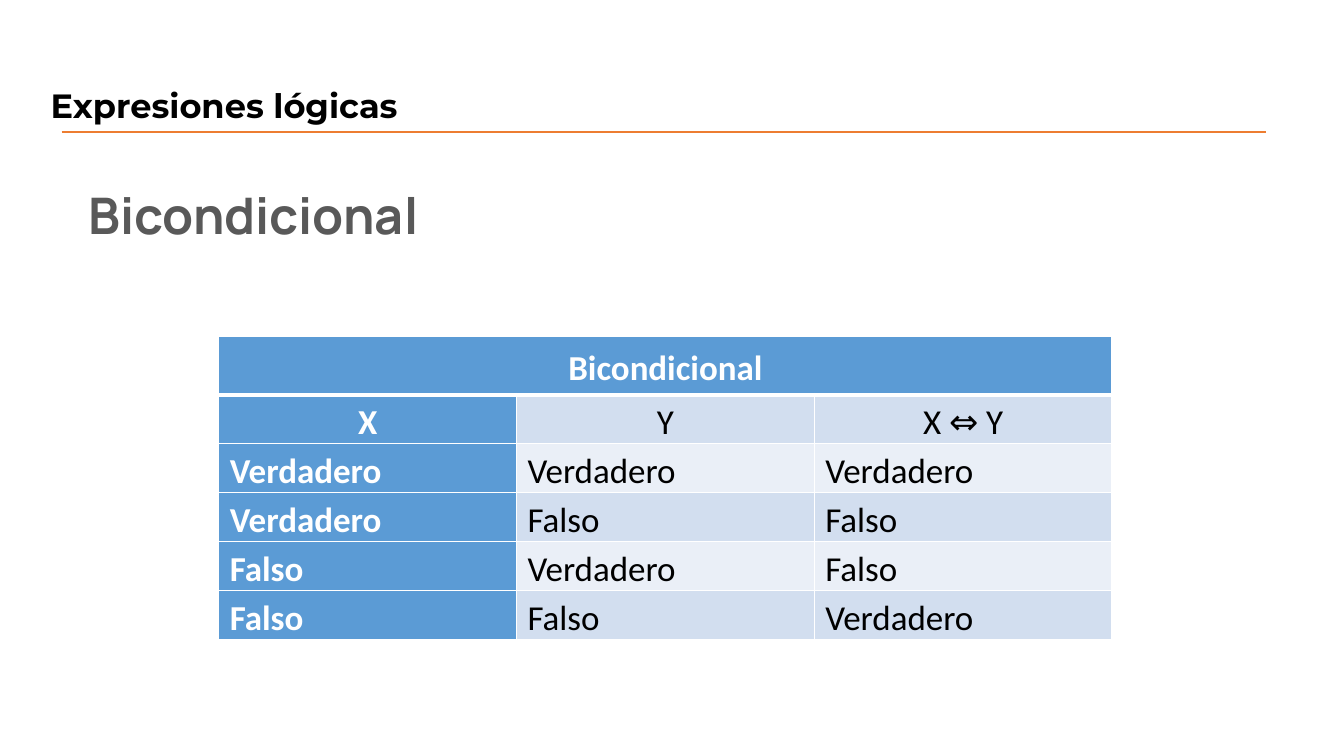
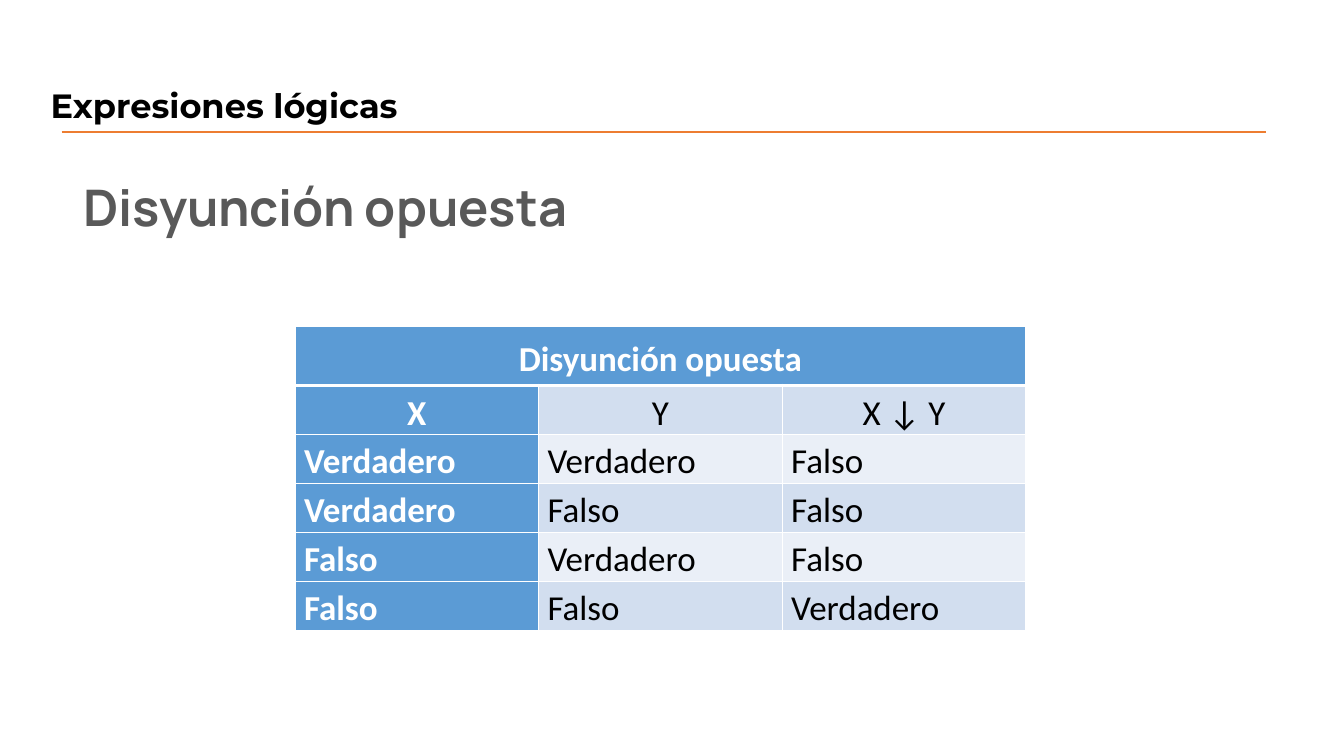
from dataclasses import dataclass
from itertools import product

from lxml import etree
from pptx import Presentation
from pptx.dml.color import RGBColor
from pptx.enum.shapes import MSO_CONNECTOR
from pptx.enum.text import MSO_ANCHOR, MSO_AUTO_SIZE, PP_ALIGN
from pptx.oxml.ns import qn
from pptx.util import Pt

LEFT, CENTER, JUSTIFY = PP_ALIGN.LEFT, PP_ALIGN.CENTER, PP_ALIGN.JUSTIFY
TOP = MSO_ANCHOR.TOP
NO_FIT = MSO_AUTO_SIZE.NONE
STRAIGHT = MSO_CONNECTOR.STRAIGHT


@dataclass(frozen=True)
class Font:
    name: str
    size: float
    color: str
    bold: bool


@dataclass(frozen=True)
class Theme:
    title: Font = Font("Montserrat", 24, "000000", True)
    topic: Font = Font("Manrope", 36, "595959", True)
    head: Font = Font("Calibri", 25, "FFFFFF", True)
    body: Font = Font("Calibri", 25, "000000", False)
    rule: str = "ED7D31"
    grid: str = "FFFFFF"
    key: str = "5B9BD5"
    bands: tuple = ("D2DEEF", "EAEFF7")


THEME = Theme()


def set_text(frame, text, font, align=LEFT):
    frame.text = text
    for para in frame.paragraphs:
        para.alignment = align
        for run in para.runs:
            run.font.name = font.name
            run.font.size = Pt(font.size)
            run.font.bold = font.bold
            run.font.color.rgb = RGBColor.from_string(font.color)


def add_title(slide, text):
    title = slide.shapes.title
    title.left, title.top, title.width, title.height = Pt(29), Pt(57), Pt(526), Pt(55)
    frame = title.text_frame
    frame.vertical_anchor = TOP
    frame.auto_size = NO_FIT
    set_text(frame, text, THEME.title)


def add_rule(slide):
    rule = slide.shapes.add_connector(STRAIGHT, Pt(44), Pt(94.3), Pt(904), Pt(94.3))
    rule.line.color.rgb = RGBColor.from_string(THEME.rule)
    rule.line.width = Pt(1.5)
    etree.SubElement(rule._element.spPr, qn("a:effectLst"))


def add_topic(slide, text, left, top):
    box = slide.shapes.add_textbox(Pt(left), Pt(top), Pt(593), Pt(63))
    box.text_frame.word_wrap = True
    set_text(box.text_frame, text, THEME.topic)


def set_edges(cell, **widths):
    """Draw the cell's edges (L, R, T, B) in points; call before filling it."""
    props = cell._tc.get_or_add_tcPr()
    for side in "LRTB":
        line = etree.SubElement(props, qn(f"a:ln{side}"), w=str(Pt(widths.get(side, 1))))
        fill = etree.SubElement(line, qn("a:solidFill"))
        etree.SubElement(fill, qn("a:srgbClr"), val=THEME.grid)


def style_cell(cell, text, font, fill, align, pad, edges):
    set_edges(cell, **edges)
    cell.fill.solid()
    cell.fill.fore_color.rgb = RGBColor.from_string(fill)
    cell.margin_left = cell.margin_right = Pt(pad[0])
    cell.margin_top = cell.margin_bottom = Pt(pad[1])
    set_text(cell.text_frame, text, font, align)
    cell.text_frame.paragraphs[0].line_spacing = 1.15


def truth_rows(sign, rule):
    """Return the column names and one row for each pair of values."""
    names = {True: "Verdadero", False: "Falso"}
    rows = [("X", "Y", f"X {sign} Y")]
    for x, y in product((True, False), repeat=2):
        rows.append((names[x], names[y], names[rule(x, y)]))
    return rows


def add_truth(slide, name, rows, left, top, width, pad):
    cols = len(rows[0])
    head, row_high = 42, 35
    frame = slide.shapes.add_table(
        len(rows) + 1, cols, Pt(left), Pt(top), Pt(width), Pt(head + row_high * len(rows)))
    table = frame.table
    for col in table.columns:
        col.width = Pt(width / cols)
    for i, row in enumerate(table.rows):
        row.height = Pt(row_high if i else head)

    table.cell(0, 0).merge(table.cell(0, cols - 1))
    for c in range(cols):
        style_cell(table.cell(0, c), "" if c else name, THEME.head, THEME.key,
                   CENTER, (7.2, 3.6), {"B": 3})
    for r, row in enumerate(rows):
        align = JUSTIFY if r else CENTER
        edges = {} if r else {"T": 3}
        band = THEME.bands[r % 2]
        for c, text in enumerate(row):
            font, fill = (THEME.body, band) if c else (THEME.head, THEME.key)
            style_cell(table.cell(r + 1, c), text, font, fill, align, (pad, 0), edges)


def add_page(deck, name, rows, topic_at, table_at, width, pad):
    slide = deck.slides.add_slide(deck.slide_layouts[5])
    add_title(slide, "Expresiones lógicas")
    add_rule(slide)
    add_topic(slide, name, *topic_at)
    add_truth(slide, name, rows, *table_at, width, pad)


def main():
    deck = Presentation()
    deck.slide_width, deck.slide_height = Pt(960), Pt(540)
    add_page(deck, "Bicondicional", truth_rows("⇔", lambda x, y: x == y),
             (56, 128), (156.3, 240), 638, 7.9)
    add_page(deck, "Disyunción opuesta", truth_rows("↓", lambda x, y: not (x or y)),
             (52.5, 122), (210.7, 233.3), 522, 6.5)
    deck.save("out.pptx")


if __name__ == "__main__":
    main()
